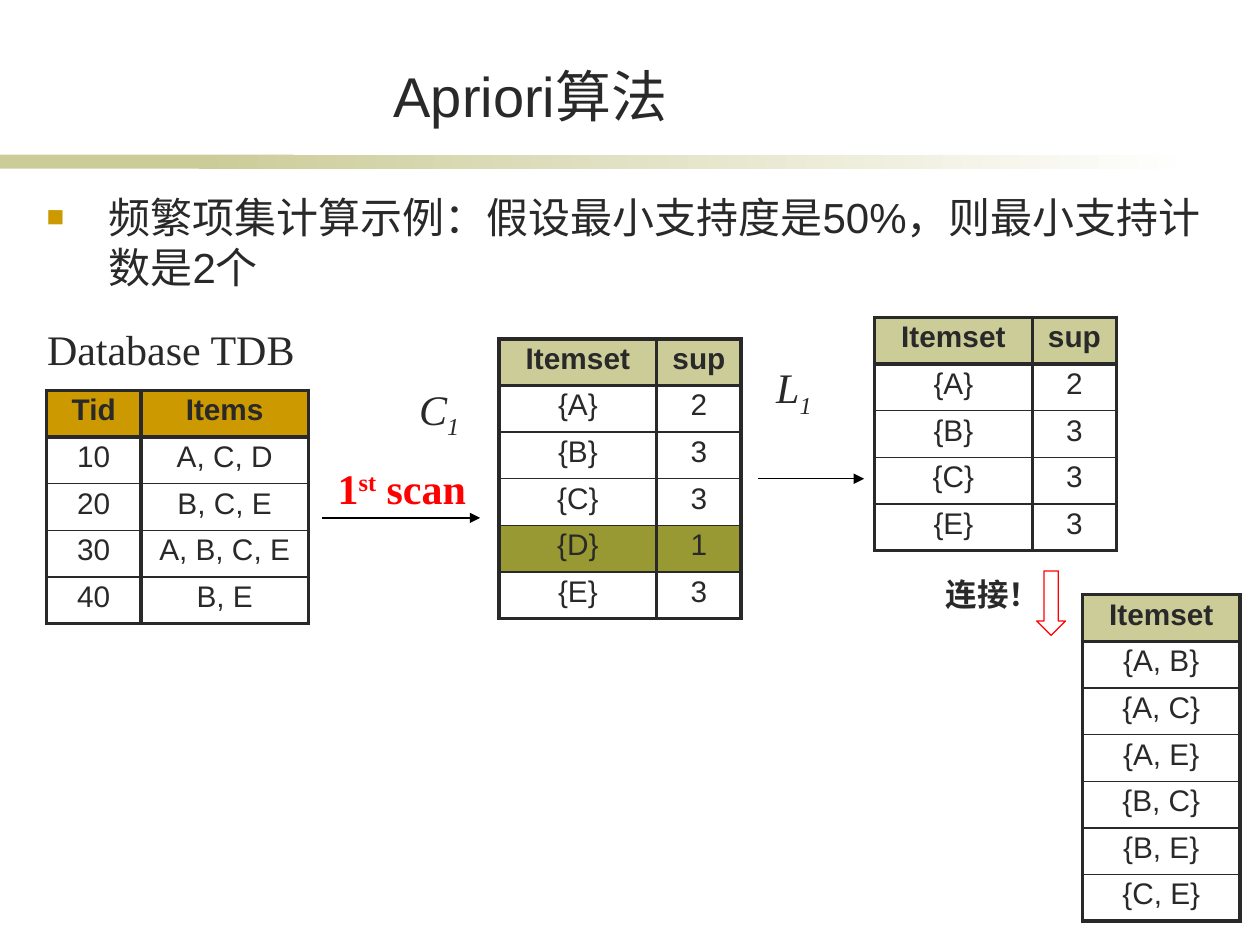
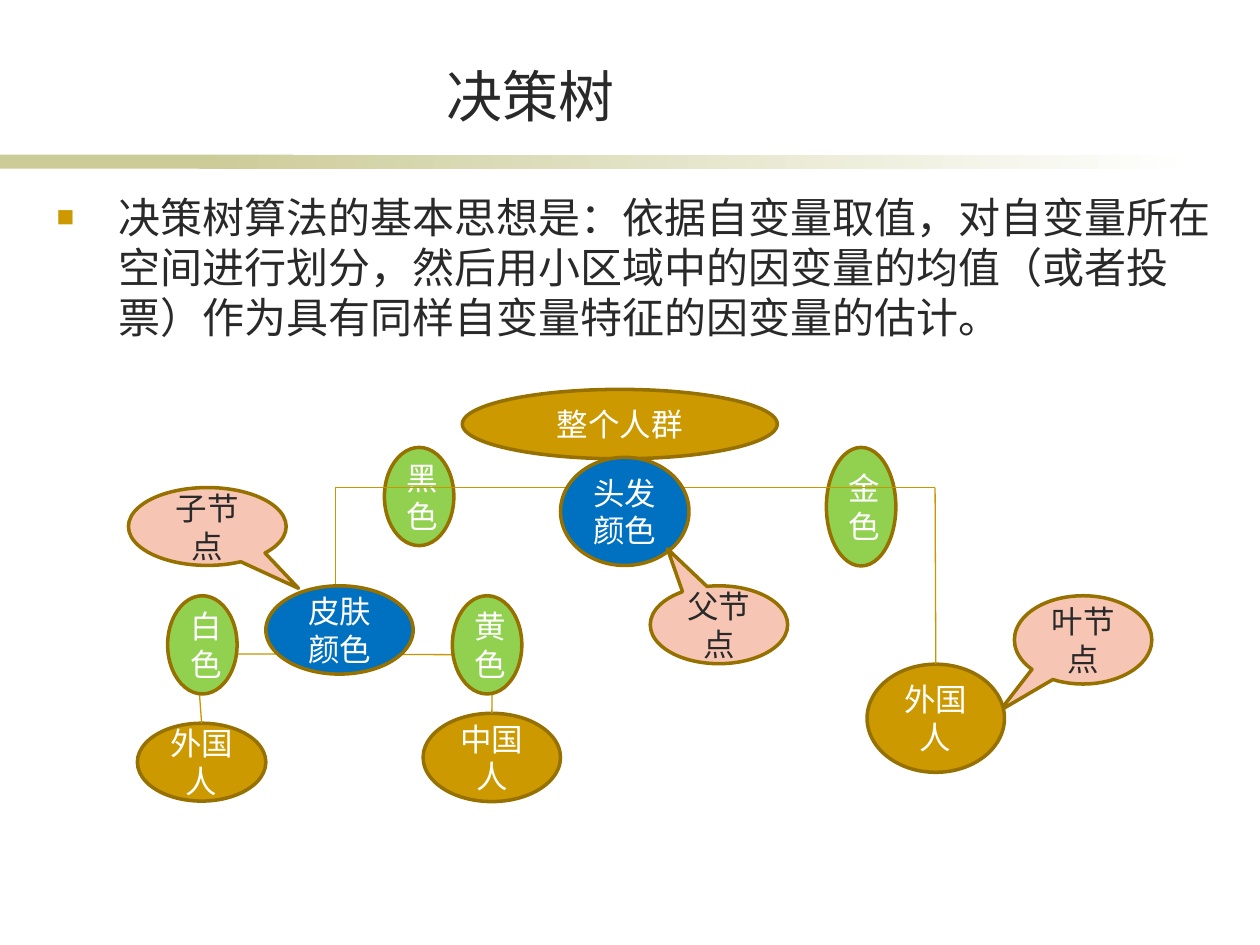
from dataclasses import dataclass
from typing import Optional

from lxml.etree import SubElement
from pptx import Presentation
from pptx.dml.color import RGBColor
from pptx.enum.shapes import MSO_CONNECTOR, MSO_SHAPE
from pptx.enum.text import MSO_ANCHOR, PP_ALIGN
from pptx.oxml.ns import qn
from pptx.util import Cm, Pt

HUES = {
    "ink": "292929", "white": "FFFFFF", "black": "000000", "red": "FF0000",
    "gold": "CC9900", "sand": "CCCC99", "olive": "999933", "rim": "977100",
    "link": "C89600", "green": "92D050", "blue": "0070C0", "pink": "F7C5B3",
}
SANS, SERIF = "Arial", "Times New Roman"
ROW = 0.94
THICK, THIN = 2.25, 1

Box = tuple[float, float, float, float]
Spot = tuple[float, float]


@dataclass
class Note:
    box: Box
    runs: list[tuple[str, int]]
    hue: str = "ink"
    size: int = 24
    bold: bool = False
    slant: bool = False
    wrap: bool = False


@dataclass
class Grid:
    spot: Spot
    cols: list[float]
    rows: list[list[str]]
    head: str = "sand"
    marked: Optional[int] = None


@dataclass
class Node:
    text: str
    box: Box
    fill: str
    tail: Optional[Spot] = None


@dataclass
class Link:
    start: Spot
    end: Spot
    leaf: Optional[int] = None


NOTES = [
    Note((0.69, 6.4, 5.51, 1.27), [("Database TDB", 0)]),
    Note((6.5, 9.19, 3.2, 1.27), [("1", 0), ("st", 30), (" scan", 0)], "red", bold=True),
    Note((8.18, 7.67, 1.35, 1.27), [("C", 0), ("1", -25)], slant=True),
    Note((15.37, 7.24, 1.27, 1.27), [("L", 0), ("1", -25)], slant=True),
    Note((18.72, 11.46, 2.59, 1.02), [("连接！", 0)], size=18, bold=True, wrap=True),
]
ARROWS = [Link((6.5, 10.44), (9.68, 10.44)), Link((15.29, 9.65), (17.42, 9.65))]
COUNTS = ["Itemset", "sup"]
GRIDS = [
    Grid((0.94, 7.87), [1.9, 3.38],
         [["Tid", "Items"], ["10", "A, C, D"], ["20", "B, C, E"],
          ["30", "A, B, C, E"], ["40", "B, E"]], "gold"),
    Grid((10.06, 6.83), [3.18, 1.7],
         [COUNTS, ["{A}", "2"], ["{B}", "3"], ["{C}", "3"], ["{D}", "1"], ["{E}", "3"]],
         marked=4),
    Grid((17.63, 6.4), [3.18, 1.7],
         [COUNTS, ["{A}", "2"], ["{B}", "3"], ["{C}", "3"], ["{E}", "3"]]),
    Grid((21.82, 11.99), [3.18],
         [["Itemset"], ["{A, B}"], ["{A, C}"], ["{A, E}"],
          ["{B, C}"], ["{B, E}"], ["{C, E}"]]),
]
TREE = [
    Node("整个人群", (9.32, 7.85, 6.35, 1.4), "gold"),
    Node("黑色", (7.75, 9.02, 1.4, 1.98), "green"),
    Node("金色", (16.66, 9.02, 1.4, 2.39), "green"),
    Node("外国人", (2.77, 14.58, 2.59, 1.57), "gold"),
    Node("中国人", (8.53, 14.38, 2.77, 1.78), "gold"),
    Link((6.76, 9.83), (6.76, 12.19)),
    Link((6.76, 9.83), (18.85, 9.83)),
    Link((3.96, 13.18), (4.06, 14.58), leaf=3),
    Link((9.93, 13.2), (9.93, 14.38), leaf=4),
    Link((3.96, 13.18), (9.93, 13.2)),
    Link((12.5, 9.22), (12.5, 9.83)),
    Node("头发颜色", (11.3, 9.22, 2.59, 2.18), "blue"),
    Node("皮肤颜色", (5.36, 11.81, 2.97, 1.78), "blue"),
    Node("父节点", (13.11, 11.81, 2.77, 1.57), "pink", (-0.375, -0.975)),
    Node("叶节点", (20.45, 12.01, 2.77, 1.78), "pink", (-0.605, 0.8)),
    Node("子节点", (2.59, 9.83, 3.18, 1.57), "pink", (0.578, 0.793)),
    Node("外国人", (17.48, 13.39, 2.77, 2.18), "gold"),
    Link((18.85, 9.83), (18.87, 13.39), leaf=10),
    Node("白色", (3.38, 12.01, 1.4, 1.98), "green"),
    Node("黄色", (9.12, 12.01, 1.4, 1.98), "green"),
]


def tint(name: str) -> RGBColor:
    return RGBColor.from_string(HUES[name])


def span(box: tuple) -> list:
    return [Cm(side) for side in box]


def style(para, size: int, hue: str = "ink", face: str = SANS,
          bold: bool = False, slant: bool = False, align=PP_ALIGN.CENTER) -> None:
    para.alignment = align
    font = para.font
    font.size, font.name, font.bold, font.italic = Pt(size), face, bold, slant
    font.color.rgb = tint(hue)


def add_shape(slide, kind, box: Box, fill: str, rim: Optional[str] = None, width: float = 1):
    shape = slide.shapes.add_shape(kind, *span(box))
    shape.shadow.inherit = False
    shape.fill.solid()
    shape.fill.fore_color.rgb = tint(fill)
    if rim:
        shape.line.color.rgb = tint(rim)
        shape.line.width = Pt(width)
    else:
        shape.line.fill.background()
    return shape


def add_bands(slide) -> None:
    solid = add_shape(slide, MSO_SHAPE.RECTANGLE, (0, 3.12, 5.92, 0.28), "sand")
    fade = add_shape(slide, MSO_SHAPE.RECTANGLE, (4.01, 3.12, 20.12, 0.28), "sand")
    fade.fill.gradient()
    fade.fill.gradient_angle = 0
    for stop, hue in zip(fade.fill.gradient_stops, ("sand", "white")):
        stop.color.rgb = tint(hue)
    tree = slide.slide_layout.shapes.element
    for place, band in enumerate((solid, fade)):
        band.element.nvSpPr.cNvPr.set("id", str(20 + place))
        tree.insert(2 + place, band.element)


def add_title(slide, text: str) -> None:
    title = slide.shapes.title
    title.left, title.top, title.width, title.height = span((2.9, 1.12, 15.6, 1.6))
    frame = title.text_frame
    frame.text = text
    frame.vertical_anchor = MSO_ANCHOR.BOTTOM
    style(frame.paragraphs[0], 32)


def add_body(slide, text: str, box: Box) -> None:
    frame = slide.shapes.add_textbox(*span(box)).text_frame
    frame.word_wrap = True
    frame.text = text
    para = frame.paragraphs[0]
    style(para, 24, align=PP_ALIGN.LEFT)
    props = para._p.get_or_add_pPr()
    props.set("marL", str(Cm(1.25)))
    props.set("indent", str(-Cm(1.25)))
    marks = [("buClr", {}), ("buSzPct", {"val": "70000"}),
             ("buFont", {"typeface": SANS}), ("buChar", {"char": "■"})]
    for place, (tag, attrs) in enumerate(marks):
        mark = props.makeelement(qn(f"a:{tag}"), attrs)
        props.insert(place, mark)
        if tag == "buClr":
            SubElement(mark, qn("a:srgbClr"), val=HUES["gold"])


def add_note(slide, note: Note) -> None:
    frame = slide.shapes.add_textbox(*span(note.box)).text_frame
    frame.word_wrap = note.wrap
    frame.vertical_anchor = MSO_ANCHOR.MIDDLE
    para = frame.paragraphs[0]
    style(para, note.size, note.hue, SERIF, note.bold, note.slant)
    for text, shift in note.runs:
        run = para.add_run()
        run.text = text
        if shift:
            run._r.get_or_add_rPr().set("baseline", str(shift * 1000))


def add_link(slide, link: Link, hue: str, arrow: bool = False):
    line = slide.shapes.add_connector(
        MSO_CONNECTOR.STRAIGHT, *span(link.start), *span(link.end))
    line.line.color.rgb = tint(hue)
    line.line.width = Pt(0.75)
    if arrow:
        SubElement(line.line._get_or_add_ln(), qn("a:tailEnd"), type="triangle")
    SubElement(line.element.spPr, qn("a:effectLst"))
    return line


def add_edges(cell, top: float, base: float) -> None:
    props = cell._tc.get_or_add_tcPr()
    for side, width in (("L", THICK), ("R", THICK), ("T", top), ("B", base)):
        edge = SubElement(props, qn(f"a:ln{side}"), w=str(Pt(width)))
        fill = SubElement(edge, qn("a:solidFill"))
        SubElement(fill, qn("a:srgbClr"), val=HUES["ink"])


def add_grid(slide, grid: Grid) -> None:
    count = len(grid.rows)
    box = (*grid.spot, sum(grid.cols), ROW * count)
    table = slide.shapes.add_table(count, len(grid.cols), *span(box)).table
    table.first_row = table.horz_banding = False
    for col, width in zip(table.columns, grid.cols):
        col.width = Cm(width)
    for place, texts in enumerate(grid.rows):
        table.rows[place].height = Cm(ROW)
        hue = {0: grid.head, grid.marked: "olive"}.get(place)
        for col, text in enumerate(texts):
            cell = table.cell(place, col)
            add_edges(cell, THICK if place < 2 else THIN,
                      THICK if place in (0, count - 1) else THIN)
            if hue:
                cell.fill.solid()
                cell.fill.fore_color.rgb = tint(hue)
            else:
                cell.fill.background()
            cell.text = text
            para = cell.text_frame.paragraphs[0]
            para.line_spacing = 0.9
            style(para, 17, bold=place == 0)


def add_node(slide, node: Node):
    kind = MSO_SHAPE.OVAL_CALLOUT if node.tail else MSO_SHAPE.OVAL
    shape = add_shape(slide, kind, node.box, node.fill, "rim", 2)
    for place, value in enumerate(node.tail or ()):
        shape.adjustments[place] = value
    frame = shape.text_frame
    frame.text = node.text
    frame.word_wrap = True
    frame.vertical_anchor = MSO_ANCHOR.MIDDLE
    style(frame.paragraphs[0], 18, "ink" if node.tail else "white")
    return shape


def draw_scan(slide) -> None:
    add_title(slide, "Apriori算法")
    add_body(slide, "频繁项集计算示例：假设最小支持度是50%，则最小支持计数是2个",
             (0.69, 3.73, 23.8, 13))
    for note in NOTES:
        add_note(slide, note)
    for arrow in ARROWS:
        add_link(slide, arrow, "black", True)
    for grid in GRIDS:
        add_grid(slide, grid)
    add_shape(slide, MSO_SHAPE.DOWN_ARROW, (20.9, 11.51, 0.58, 1.3), "white", "red", 0.75)


def draw_tree(slide) -> None:
    add_title(slide, "决策树")
    add_body(slide, "决策树算法的基本思想是：依据自变量取值，对自变量所在空间进行划分，"
             "然后用小区域中的因变量的均值（或者投票）作为具有同样自变量特征的因变量的估计。",
             (0.89, 3.73, 23.8, 12.6))
    nodes = []
    for part in TREE:
        if isinstance(part, Node):
            nodes.append(add_node(slide, part))
            continue
        line = add_link(slide, part, "link")
        if part.leaf is not None:
            line.end_connect(nodes[part.leaf], 0)


def main() -> None:
    deck = Presentation()
    deck.slide_width, deck.slide_height = Cm(25.4), Cm(19.05)
    layout = deck.slide_layouts[5]
    scan, tree = (deck.slides.add_slide(layout) for _ in range(2))
    add_bands(scan)
    draw_scan(scan)
    draw_tree(tree)
    deck.save("out.pptx")


if __name__ == "__main__":
    main()
